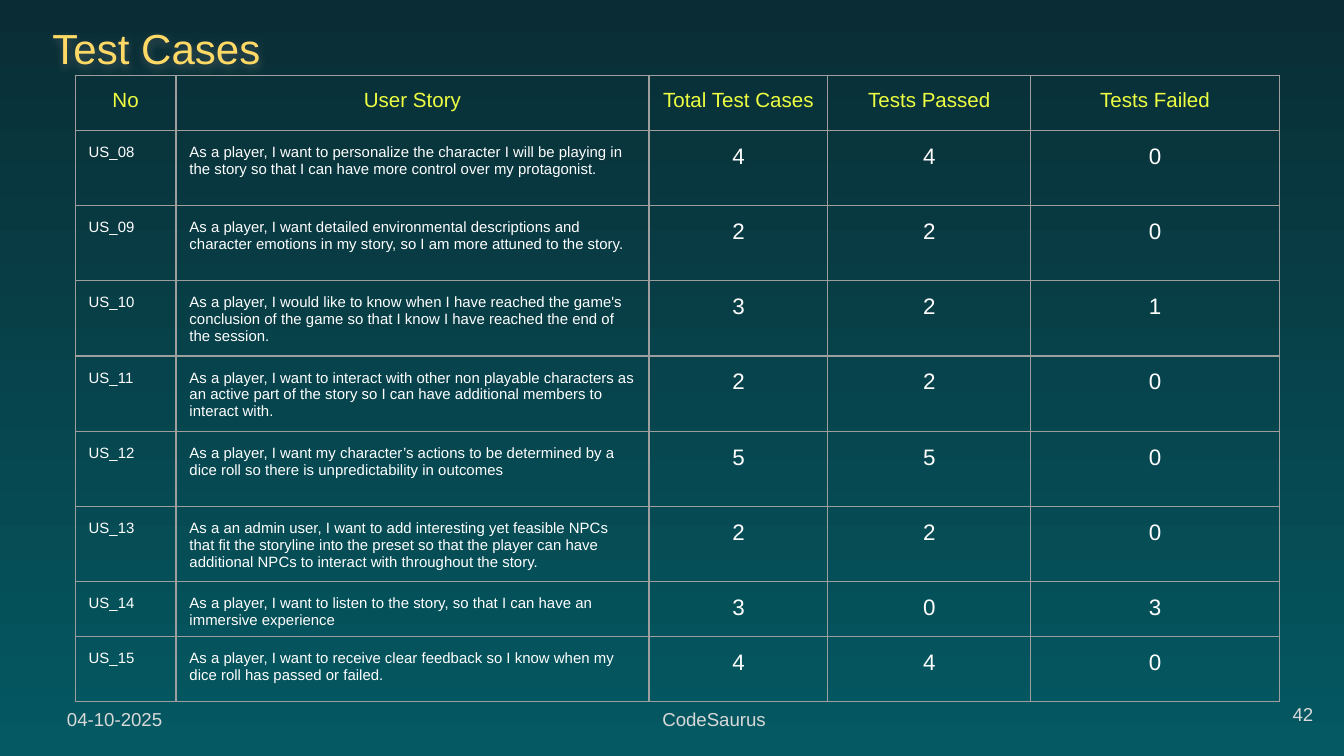
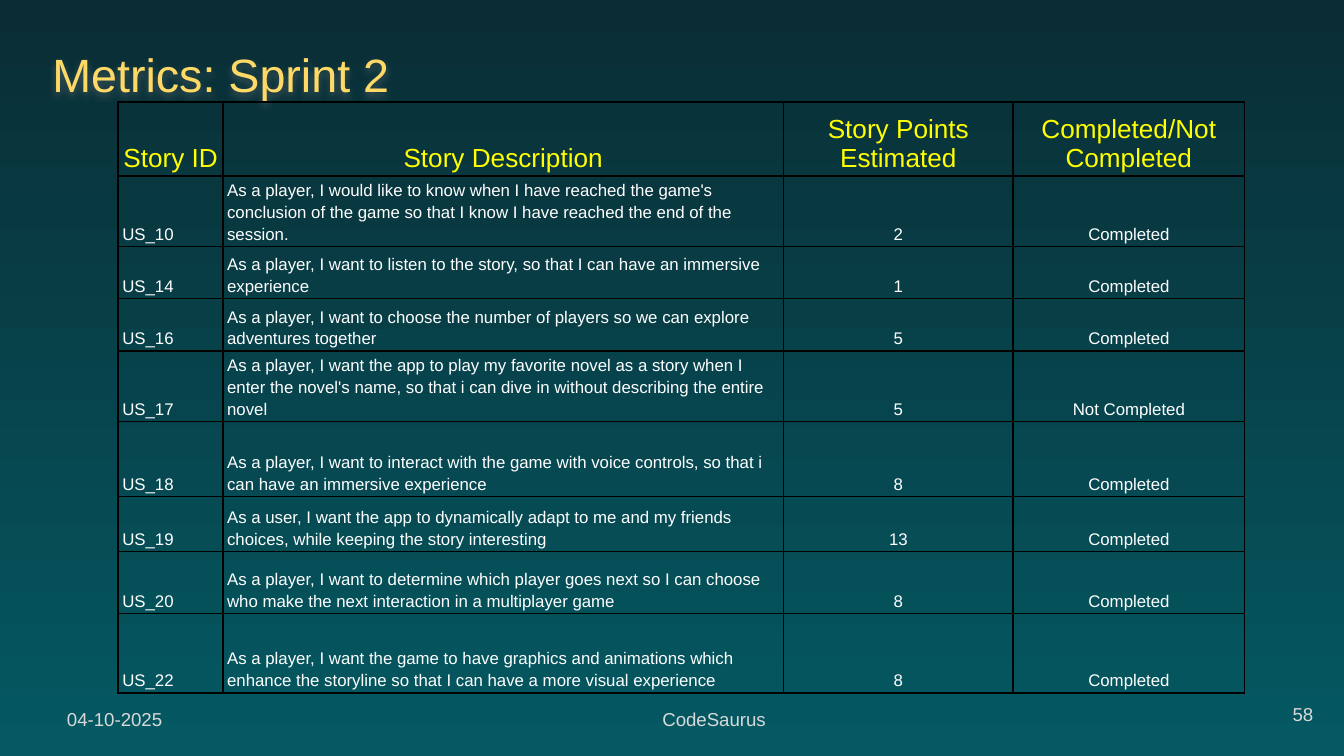
from lxml import etree
from pptx import Presentation
from pptx.dml.color import RGBColor
from pptx.enum import text
from pptx.oxml import ns
from pptx.util import Inches, Pt

FONT = "Arial"
NAVY = RGBColor(0x0A, 0x2D, 0x35)
TEAL = RGBColor(0x04, 0x59, 0x62)
GOLD = RGBColor(0xFF, 0xD9, 0x66)
LIGHT_GRAY = RGBColor(0xD9, 0xD9, 0xD9)
SHADOW_GRAY = RGBColor(0x80, 0x80, 0x80)
LIME = RGBColor(0xEE, 0xFF, 0x41)
YELLOW = RGBColor(0xFF, 0xFF, 0x00)
WHITE = RGBColor(0xFF, 0xFF, 0xFF)
BORDER_GRAY = RGBColor(0x9E, 0x9E, 0x9E)
BLACK = RGBColor(0x00, 0x00, 0x00)

LEFT = text.PP_ALIGN.LEFT
CENTER = text.PP_ALIGN.CENTER
RIGHT = text.PP_ALIGN.RIGHT
JUSTIFY = text.PP_ALIGN.JUSTIFY
TOP = text.MSO_ANCHOR.TOP
MIDDLE = text.MSO_ANCHOR.MIDDLE
BOTTOM = text.MSO_ANCHOR.BOTTOM

TEST_CASES = [
    ("No", "User Story", "Total Test Cases", "Tests Passed", "Tests Failed"),
    ("US_08", "As a player, I want to personalize the character I will be playing in the story "
     "so that I can have more control over my protagonist.", "4", "4", "0"),
    ("US_09", "As a player, I want detailed environmental descriptions and character emotions "
     "in my story, so I am more attuned to the story.", "2", "2", "0"),
    ("US_10", "As a player, I would like to know when I have reached the game's conclusion "
     "of the game so that I know I have reached the end of the session.", "3", "2", "1"),
    ("US_11", "As a player, I want to interact with other non playable characters as an active "
     "part of the story so I can have additional members to interact with.", "2", "2", "0"),
    ("US_12", "As a player, I want my character’s actions to be determined by a dice roll "
     "so there is unpredictability in outcomes", "5", "5", "0"),
    ("US_13", "As a an admin user, I want to add interesting yet feasible NPCs that fit the "
     "storyline into the preset so that the player can have additional NPCs to interact with "
     "throughout the story.", "2", "2", "0"),
    ("US_14", "As a player, I want to listen to the story, so that I can have an immersive "
     "experience", "3", "0", "3"),
    ("US_15", "As a player, I want to receive clear feedback so I know when my dice roll has "
     "passed or failed.", "4", "4", "0"),
]

SPRINT_STORIES = [
    ("Story ID", "Story Description", "Story Points Estimated", "Completed/Not Completed"),
    ("US_10", "As a player, I would like to know when I have reached the game's conclusion "
     "of the game so that I know I have reached the end of the session.", "2", "Completed"),
    ("US_14", "As a player, I want to listen to the story, so that I can have an immersive "
     "experience", "1", "Completed"),
    ("US_16", "As a player, I want to choose the number of players so we can explore "
     "adventures together", "5", "Completed"),
    ("US_17", "As a player, I want the app to play my favorite novel as a story when I enter "
     "the novel's name, so that i can dive in without describing the entire novel",
     "5", "Not Completed"),
    ("US_18", "As a player, I want to interact with the game with voice controls, so that i "
     "can have an immersive experience", "8", "Completed"),
    ("US_19", "As a user, I want the app to dynamically adapt to me and my friends choices, "
     "while keeping the story interesting", "13", "Completed"),
    ("US_20", "As a player, I want to determine which player goes next so I can choose who "
     "make the next interaction in a multiplayer game", "8", "Completed"),
    ("US_22", "As a player, I want the game to have graphics and animations which enhance the "
     "storyline so that I can have a more visual experience", "8", "Completed"),
]


def set_background(master):
    fill = master.background.fill
    fill.gradient()
    fill.gradient_angle = 270
    for stop, color, position in zip(fill.gradient_stops, (NAVY, TEAL), (0, 1)):
        stop.color.rgb = color
        stop.position = position


def format_paragraph(p, size, color, align):
    p.alignment = align
    for r in p.runs:
        r.font.name = FONT
        r.font.size = Pt(size)
        r.font.bold = False
        r.font.color.rgb = color


def fill_frame(tf, words, size, color, align=LEFT, anchor=TOP):
    tf.text = words
    tf.word_wrap = True
    tf.auto_size = text.MSO_AUTO_SIZE.NONE
    tf.vertical_anchor = anchor
    tf.margin_left = tf.margin_right = tf.margin_top = tf.margin_bottom = Inches(0.1)
    format_paragraph(tf.paragraphs[0], size, color, align)


def add_shadow(sp):
    effects = etree.SubElement(sp._element.spPr, ns.qn("a:effectLst"))
    shadow = etree.SubElement(effects, ns.qn("a:outerShdw"), blurRad=str(Pt(4.5)),
                              dist=str(Pt(1.5)), dir="5400000", algn="bl", rotWithShape="0")
    color = etree.SubElement(shadow, ns.qn("a:srgbClr"), val=str(SHADOW_GRAY))
    etree.SubElement(color, ns.qn("a:alpha"), val="50000")


def add_title(s, words, top, height, size):
    sp = s.shapes.title
    sp.left, sp.top, sp.width, sp.height = map(Inches, (0.29, top, 8.73, height))
    fill_frame(sp.text_frame, words, size, GOLD, anchor=MIDDLE)
    add_shadow(sp)


def add_label(s, words, box, align=LEFT, anchor=TOP):
    sp = s.shapes.add_textbox(*map(Inches, box))
    fill_frame(sp.text_frame, words, 10, LIGHT_GRAY, align, anchor)


def add_footer(s, number):
    add_label(s, "04-10-2025", (0.4, 5.17, 1.05, 0.3))
    add_label(s, "CodeSaurus", (4.83, 5.17, 1.05, 0.3), JUSTIFY)
    add_label(s, number, (9.27, 5.1, 0.6, 0.43), RIGHT, MIDDLE)


def add_slide(prs, title, top, height, size, number):
    s = prs.slides.add_slide(prs.slide_layouts[5])
    add_title(s, title, top, height, size)
    add_footer(s, number)
    return s


def set_borders(cell, color, width):
    tc_pr = cell._tc.get_or_add_tcPr()
    for side in ("lnL", "lnR", "lnT", "lnB"):
        line = etree.SubElement(tc_pr, ns.qn("a:" + side), w=str(Pt(width)))
        fill = etree.SubElement(line, ns.qn("a:solidFill"))
        etree.SubElement(fill, ns.qn("a:srgbClr"), val=str(color))


def add_grid(s, rows, left, top, widths, heights, border, margins, anchor, style):
    frame = s.shapes.add_table(len(rows), len(widths), Inches(left), Inches(top),
                               Inches(sum(widths)), Inches(sum(heights)))
    table = frame.table
    table.first_row = table.horz_banding = False
    for column, width in zip(table.columns, widths):
        column.width = Inches(width)
    for row, height in zip(table.rows, heights):
        row.height = Inches(height)
    side, above, below = map(Inches, margins)
    for i, row in enumerate(rows):
        for j, words in enumerate(row):
            cell = table.cell(i, j)
            cell.text_frame.text = words
            cell.margin_left = cell.margin_right = side
            cell.margin_top, cell.margin_bottom = above, below
            cell.vertical_anchor = anchor
            set_borders(cell, *border)
            cell.fill.background()
            size, color, spacing = style(i, j)
            p = cell.text_frame.paragraphs[0]
            format_paragraph(p, size, color, CENTER if i == 0 or j > 1 else LEFT)
            if spacing:
                p.line_spacing = spacing


def test_case_style(i, j):
    if i == 0:
        return 11, LIME, None
    return (12 if j > 1 else 8), WHITE, None


def sprint_style(i, j):
    if i == 0:
        return 14, YELLOW, (1.15 if j == 1 else None)
    return 9, WHITE, (1.15 if j < 3 else None)


def main():
    prs = Presentation()
    prs.slide_width = Inches(10)
    prs.slide_height = Inches(10) * 9 // 16
    set_background(prs.slide_master)

    s = add_slide(prs, "Test Cases", 0.06, 0.59, 22.5, "42")
    add_grid(s, TEST_CASES, 0.56, 0.56, (0.75, 3.52, 1.33, 1.51, 1.85),
             [0.41] + [0.56] * 6 + [0.41, 0.48], (BORDER_GRAY, 0.75),
             (0.1, 0.1, 0), TOP, test_case_style)

    s = add_slide(prs, "Metrics: Sprint 2", 0.21, 0.68, 25, "58")
    add_grid(s, SPRINT_STORIES, 0.88, 0.76, (0.78, 4.17, 1.71, 1.72),
             (0.55, 0.52, 0.39, 0.39, 0.52, 0.56, 0.41, 0.46, 0.59), (BLACK, 1),
             (0.03, 0.02, 0.02), BOTTOM, sprint_style)

    prs.save("out.pptx")


if __name__ == "__main__":
    main()
